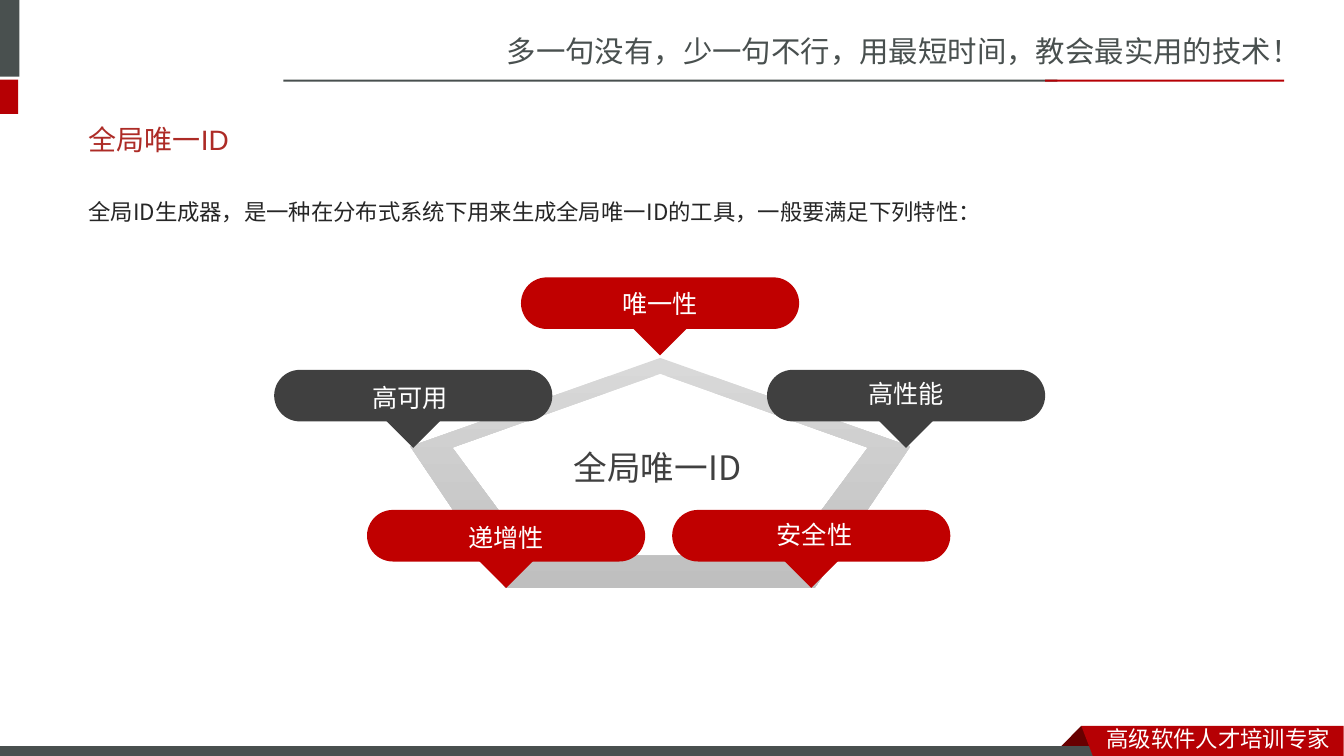
from dataclasses import dataclass

from lxml.etree import SubElement
from pptx import Presentation
from pptx.dml.color import RGBColor
from pptx.enum.shapes import MSO_AUTO_SHAPE_TYPE as Preset
from pptx.enum.text import MSO_ANCHOR as Anchor, MSO_AUTO_SIZE as AutoSize, PP_ALIGN as Align
from pptx.oxml.ns import qn
from pptx.shapes.autoshape import Shape
from pptx.slide import Slide
from pptx.util import Cm, Pt

COLORS = {
    "slate": "49504F",
    "brand": "B60004",
    "fold": "680000",
    "heading": "AD2B26",
    "body": "262626",
    "dark": "404040",
    "red": "C00000",
    "white": "FFFFFF",
    "ring_top": "D9D9D9",
    "ring_bottom": "BFBFBF",
}
SANS = "Noto Sans CJK SC"
SANS_JP = "Noto Sans CJK JP"
PILL_WIDTH, PILL_HEIGHT, LABEL_HEIGHT = 7.01, 1.3, 1.35
POINTER_SIZE, POINTER_DROP = 0.99, 0.77

Outline = list[tuple[float, float]]


@dataclass(frozen=True)
class Bar:
    left: float
    top: float
    width: float
    height: float
    color: str


@dataclass(frozen=True)
class Badge:
    text: str
    left: float
    top: float
    color: str
    label_dx: float = 0
    label_dy: float = 0


BARS = [
    Bar(-0.15, 0, 0.64, 1.93, "slate"),
    Bar(-0.15, 2.01, 0.61, 0.86, "brand"),
    Bar(7.14, 2.01, 19.51, 0.05, "slate"),
    Bar(26.34, 2.01, 6.02, 0.05, "brand"),
]
FOOTER_BAR = Bar(-0.03, 18.82, 27.84, 0.23, "slate")
BADGES = [
    Badge("高性能", 19.33, 9.32, "dark", 0, -0.08),
    Badge("高可用", 6.91, 9.32, "dark", -0.08, 0.03),
    Badge("安全性", 16.94, 12.85, "red", 0.08, -0.05),
    Badge("递增性", 9.25, 12.85, "red", 0, 0.03),
    Badge("唯一性", 13.13, 6.99, "red", 0, -0.03),
]
FOLD: Outline = [(27.25, 18.29), (27.81, 18.85), (27.79, 18.87), (26.72, 18.87), (26.7, 18.85)]
RIBBON: Outline = [(27.25, 18.29), (33.86, 18.29), (33.86, 19.15), (27.58, 19.15)]
RING_INNER: Outline = [(16.64, 9.42), (11.4, 11.28), (13.41, 14), (19.86, 14), (21.87, 11.28)]
RING_OUTER: Outline = [(16.64, 9.02), (22.94, 11.25), (20.52, 14.83), (12.75, 14.83), (10.34, 11.25)]


def rgb(name: str) -> RGBColor:
    return RGBColor.from_string(COLORS[name])


def paint(shape: Shape, color: str) -> None:
    shape.shadow.inherit = False
    shape.fill.solid()
    shape.fill.fore_color.rgb = rgb(color)
    shape.line.fill.background()


def add_preset(page: Slide, preset: Preset, bar: Bar) -> Shape:
    shape = page.shapes.add_shape(
        preset, Cm(bar.left), Cm(bar.top), Cm(bar.width), Cm(bar.height)
    )
    paint(shape, bar.color)
    return shape


def add_outline(page: Slide, *contours: Outline, color: str) -> Shape:
    points = [[(Cm(x), Cm(y)) for x, y in contour] for contour in contours]
    builder = page.shapes.build_freeform(*points[0][0])
    for index, contour in enumerate(points):
        if index:
            builder.move_to(*contour[0])
        builder.add_line_segments(contour[1:], close=True)
    shape = builder.convert_to_shape()
    paint(shape, color)
    return shape


def write(box: Shape, text: str, *, size: float, color: str, font: str = SANS,
          east_font: str = SANS, align: Align = Align.LEFT,
          anchor: Anchor = Anchor.TOP, spacing: float = 1.0) -> None:
    frame = box.text_frame
    frame.word_wrap = True
    frame.auto_size = AutoSize.NONE
    frame.vertical_anchor = anchor
    para = frame.paragraphs[0]
    para.alignment = align
    para.line_spacing = spacing
    span = para.add_run()
    span.text = text
    span.font.size = Pt(size)
    span.font.color.rgb = rgb(color)
    span.font.name = font
    SubElement(span.font._element, qn("a:ea"), typeface=east_font)


def add_text(page: Slide, text: str, left: float, top: float, width: float,
             height: float, **style) -> None:
    box = page.shapes.add_textbox(Cm(left), Cm(top), Cm(width), Cm(height))
    write(box, text, **style)


def add_badge(page: Slide, badge: Badge) -> None:
    pill = add_preset(page, Preset.ROUNDED_RECTANGLE,
                      Bar(badge.left, badge.top, PILL_WIDTH, PILL_HEIGHT, badge.color))
    pill.adjustments[0] = 0.5
    pointer_left = badge.left + (PILL_WIDTH - POINTER_SIZE) / 2
    pointer = add_preset(page, Preset.RIGHT_TRIANGLE,
                         Bar(pointer_left, badge.top + POINTER_DROP,
                             POINTER_SIZE, POINTER_SIZE, badge.color))
    pointer.rotation = 315
    add_text(page, badge.text, badge.left + badge.label_dx, badge.top + badge.label_dy,
             PILL_WIDTH, LABEL_HEIGHT, size=18, color="white", font="Courier New",
             align=Align.CENTER, anchor=Anchor.MIDDLE)


def add_ring(page: Slide) -> None:
    ring = add_outline(page, RING_INNER, RING_OUTER, color="ring_top")
    ring.fill.gradient()
    ring.fill.gradient_angle = 270
    for stop, color in zip(ring.fill.gradient_stops, ("ring_top", "ring_bottom")):
        stop.color.rgb = rgb(color)


def add_frame(page: Slide) -> None:
    add_text(page, "多一句没有，少一句不行，用最短时间，教会最实用的技术！",
             12.52, 0.71, 21.36, 1.19, size=21, color="slate")
    for bar in BARS:
        add_preset(page, Preset.RECTANGLE, bar)
    add_outline(page, FOLD, color="fold")
    footer = add_preset(page, Preset.RECTANGLE, FOOTER_BAR)
    footer.line.color.rgb = rgb("slate")
    footer.line.width = Pt(0.75)
    add_outline(page, RIBBON, color="brand")
    add_text(page, "高级软件人才培训专家", 27.64, 18.16, 6.22, 0.94, size=16, color="white")


def add_heading(page: Slide) -> None:
    title = page.shapes.title
    title.left, title.top, title.width, title.height = Cm(1.98), Cm(2.95), Cm(29.72), Cm(1.12)
    write(title, "全局唯一ID", size=20, color="heading", font="Arial", anchor=Anchor.MIDDLE)


def main() -> None:
    deck = Presentation()
    deck.slide_width, deck.slide_height = Cm(33.87), Cm(19.05)
    page = deck.slides.add_slide(deck.slide_layouts[5])
    add_frame(page)
    add_heading(page)
    add_text(page, "全局ID生成器，是一种在分布式系统下用来生成全局唯一ID的工具，一般要满足下列特性：",
             1.98, 4.52, 29.72, 2.03, size=16, color="body",
             font=SANS_JP, east_font=SANS_JP, spacing=1.5)
    add_ring(page)
    add_text(page, "全局唯一ID", 13.41, 10.64, 6.32, 1.65, size=24, color="dark",
             font=SANS_JP, east_font=SANS_JP, align=Align.CENTER, spacing=1.5)
    for badge in BADGES:
        add_badge(page, badge)
    deck.save("out.pptx")


if __name__ == "__main__":
    main()
